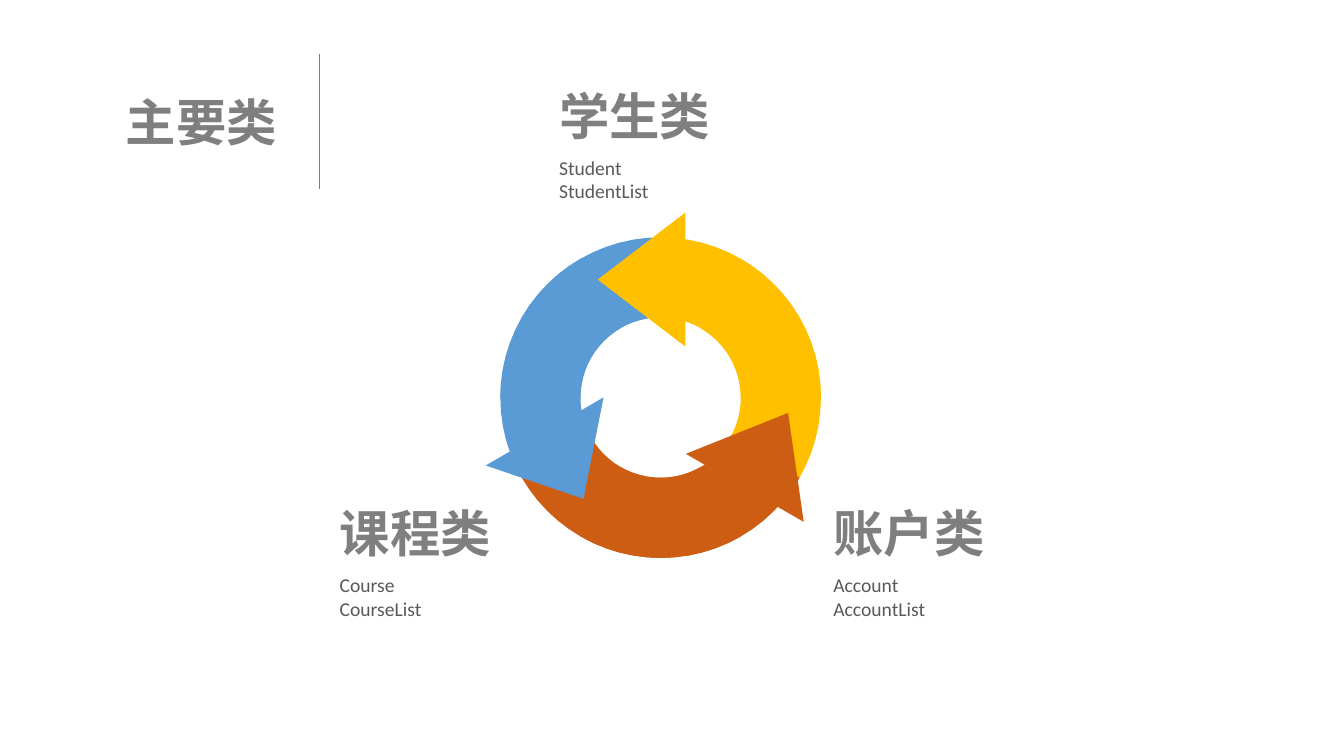
import math

from lxml import etree
from pptx import Presentation
from pptx import util as u
from pptx.dml import color
from pptx.enum import shapes, text
from pptx.oxml import ns

YELLOW, ORANGE, BLUE = "FFC000", "CC5D12", "5B9BD5"
HEADING_GRAY, BODY_GRAY = "7F7F7F", "595959"
CENTER_X, CENTER_Y = 16.65, 10.02
OUTER_RADIUS, INNER_RADIUS = 4.04, 2.02


def rgb(value):
    return color.RGBColor.from_string(value)


class SlideBuilder:
    font = "Calibri"

    def __init__(self, slide):
        self.slide = slide

    def paint(self, shape, fill):
        shape.shadow.inherit = False
        shape.fill.solid()
        shape.fill.fore_color.rgb = rgb(fill)
        shape.line.fill.background()

    def ring_part(self, start, sweep, fill):
        """Draw a ring sector; degrees run clockwise from the top."""
        def point(radius, degrees):
            angle = math.radians(degrees)
            return (u.Cm(CENTER_X + radius * math.sin(angle)),
                    u.Cm(CENTER_Y - radius * math.cos(angle)))

        angles = range(start, start + sweep + 1, 5)
        points = [point(OUTER_RADIUS, angle) for angle in angles]
        points += [point(INNER_RADIUS, angle) for angle in reversed(angles)]
        builder = self.slide.shapes.build_freeform(*points[0])
        builder.add_line_segments(points[1:], close=True)
        self.paint(builder.convert_to_shape(), fill)

    def arrowhead(self, left, top, width, height, rotation, fill):
        shape = self.slide.shapes.add_shape(
            shapes.MSO_SHAPE.ISOSCELES_TRIANGLE,
            u.Cm(left), u.Cm(top), u.Cm(width), u.Cm(height))
        shape.rotation = rotation
        self.paint(shape, fill)

    def label(self, left, top, width, height, words, size, ink, bold=False):
        box = self.slide.shapes.add_textbox(
            u.Cm(left), u.Cm(top), u.Cm(width), u.Cm(height))
        frame = box.text_frame
        frame.word_wrap = True
        frame.auto_size = text.MSO_AUTO_SIZE.SHAPE_TO_FIT_TEXT
        frame.text = words
        for paragraph in frame.paragraphs:
            for run in paragraph.runs:
                run.font.name = self.font
                run.font.size = u.Pt(size)
                run.font.bold = bold
                run.font.color.rgb = rgb(ink)

    def heading(self, left, top, words):
        self.label(left, top, 7.49, 1.8, words, 36, HEADING_GRAY, bold=True)

    def class_group(self, left, top, name, classes):
        self.label(left, top + 1.79, 8.51, 1.45, "\n".join(classes), 14, BODY_GRAY)
        self.heading(left, top, name)

    def line(self, x1, y1, x2, y2, ink, weight):
        connector = self.slide.shapes.add_connector(
            shapes.MSO_CONNECTOR.STRAIGHT,
            u.Cm(x1), u.Cm(y1), u.Cm(x2), u.Cm(y2))
        connector.line.color.rgb = rgb(ink)
        connector.line.width = u.Pt(weight)
        etree.SubElement(connector._element.spPr, ns.qn("a:effectLst"))


def main():
    presentation = Presentation()
    presentation.slide_width = u.Cm(33.87)
    presentation.slide_height = u.Cm(19.05)
    builder = SlideBuilder(presentation.slides.add_slide(presentation.slide_layouts[6]))

    # Cycle: two overlapping quarter rings per arrow, then the next arrow's head
    arrows = [
        (0, YELLOW, (17.6, 10.26, 3.43, 2.18, 30, ORANGE)),
        (120, ORANGE, (12.5, 10.74, 3.43, 1.96, 150, BLUE)),
        (240, BLUE, (14.48, 5.94, 3.38, 2.21, 270, YELLOW)),
    ]
    for start, fill, next_head in arrows:
        for offset in (0, 30):
            builder.ring_part(start + offset, 90, fill)
        builder.arrowhead(*next_head)

    # Class groups around the cycle
    builder.class_group(13.84, 2.01, "学生类", ["Student", "StudentList"])
    builder.class_group(20.75, 12.53, "账户类", ["Account", "AccountList"])
    builder.class_group(8.31, 12.53, "课程类", ["Course", "CourseList"])

    # Slide title and divider
    builder.line(8.04, 1.35, 8.04, 4.75, HEADING_GRAY, 0.5)
    builder.heading(2.92, 2.16, "主要类")

    presentation.save("out.pptx")


if __name__ == "__main__":
    main()
